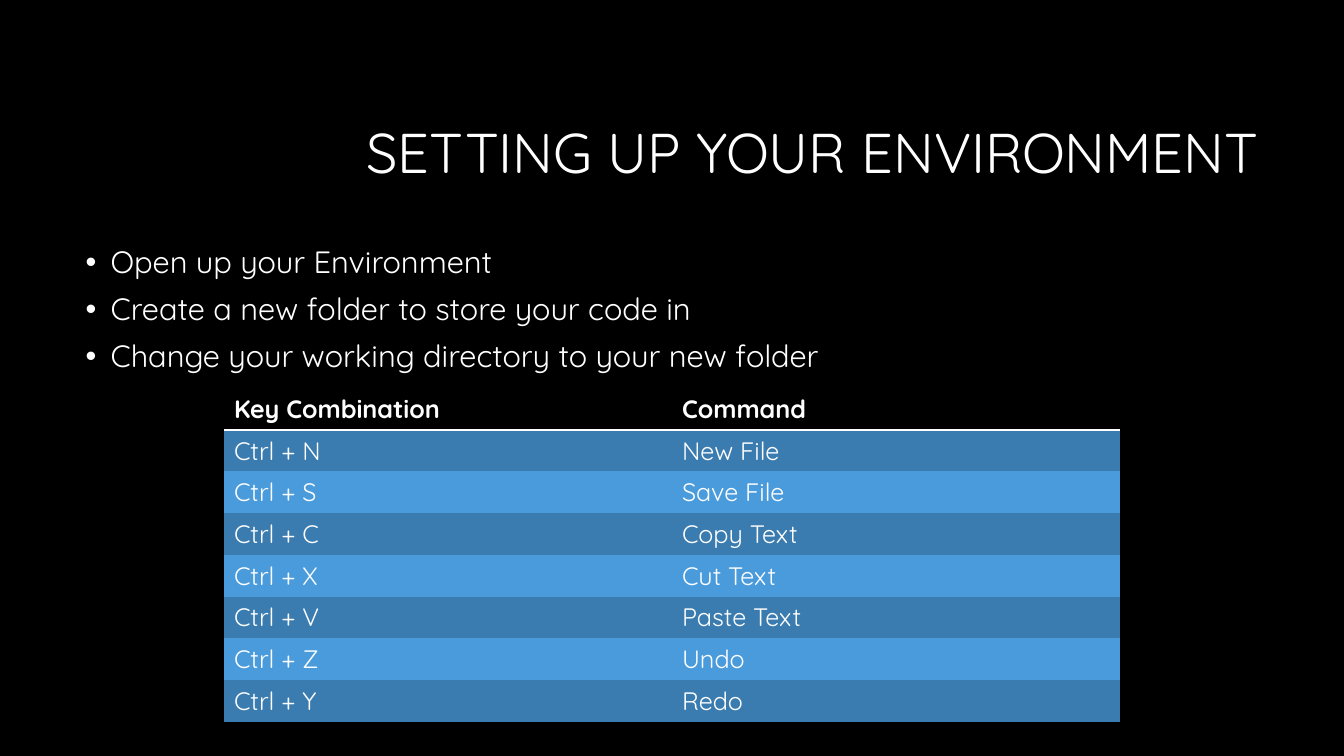
from lxml.etree import SubElement
from pptx import Presentation
from pptx.dml.color import RGBColor
from pptx.enum.text import MSO_ANCHOR, PP_ALIGN
from pptx.oxml import parse_xml
from pptx.oxml.ns import nsdecls, qn
from pptx.util import Pt

COLORS = {"background": "000000", "text": "FFFFFF", "dark_band": "3B7CB0", "light_band": "4A9BDC"}
FONT = "Quicksand"
PLAIN_TABLE = "{2D5ABB26-0587-4C30-8999-92F81FD0307C}"
STEPS = [
    "Open up your Environment",
    "Create a new folder to store your code in",
    "Change your working directory to your new folder",
]
SHORTCUTS = [
    ("Key Combination", "Command"),
    ("Ctrl + N", "New File"),
    ("Ctrl + S", "Save File"),
    ("Ctrl + C", "Copy Text"),
    ("Ctrl + X", "Cut Text"),
    ("Ctrl + V", "Paste Text"),
    ("Ctrl + Z", "Undo"),
    ("Ctrl + Y", "Redo"),
]


def rgb(name):
    return RGBColor.from_string(COLORS[name])


def write(p, text, size, bold=False, align=PP_ALIGN.LEFT, line=None, before=None, bullet=None):
    p.alignment = align
    p.line_spacing = line
    p.space_before = before
    if bullet:
        pPr = p._p.get_or_add_pPr()
        pPr.set("marL", str(Pt(18)))
        pPr.set("indent", str(-Pt(18)))
        SubElement(pPr, qn("a:buFont"), typeface="Arial")
        SubElement(pPr, qn("a:buChar"), char=bullet)
    r = p.add_run()
    r.text = text
    r.font.name = FONT
    r.font.size = Pt(size)
    r.font.bold = bold
    r.font.color.rgb = rgb("text")


class Deck:
    def __init__(self, width, height):
        self.prs = Presentation()
        self.prs.slide_width, self.prs.slide_height = Pt(width), Pt(height)
        self.s = self.prs.slides.add_slide(self.prs.slide_layouts[6])
        fill = self.s.background.fill
        fill.solid()
        fill.fore_color.rgb = rgb("background")

    def text(self, lines, x, y, w, h, anchor=MSO_ANCHOR.TOP, **style):
        tf = self.s.shapes.add_textbox(Pt(x), Pt(y), Pt(w), Pt(h)).text_frame
        tf.word_wrap = True
        tf.vertical_anchor = anchor
        for i, line in enumerate(lines):
            p = tf.add_paragraph() if i else tf.paragraphs[0]
            write(p, line, **style)

    def table(self, rows, x, y, w, row_height, size):
        frame = self.s.shapes.add_table(
            len(rows), len(rows[0]), Pt(x), Pt(y), Pt(w), Pt(row_height * len(rows)))
        table = frame.table
        table._tbl.tblPr.find(qn("a:tableStyleId")).text = PLAIN_TABLE
        for i, row in enumerate(rows):
            table.rows[i].height = Pt(row_height)
            band = "dark_band" if i % 2 else "light_band"
            for j, value in enumerate(row):
                cell = table.cell(i, j)
                cell.fill.solid()
                cell.fill.fore_color.rgb = rgb(band if i else "background")
                write(cell.text_frame.paragraphs[0], value, size, bold=i == 0)
                if i == 0:
                    self.underline(cell, 2)

    def underline(self, cell, width):
        border = parse_xml(
            f'<a:lnB {nsdecls("a")} w="{Pt(width)}"><a:solidFill>'
            f'<a:srgbClr val="{COLORS["text"]}"/></a:solidFill></a:lnB>')
        cell._tc.get_or_add_tcPr().insert(0, border)


def main():
    deck = Deck(960, 540)
    deck.text(["SETTING UP YOUR ENVIRONMENT"], 228, 60.5, 678, 101.5,
              anchor=MSO_ANCHOR.MIDDLE, size=40, align=PP_ALIGN.RIGHT, line=0.9)
    deck.text(STEPS, 54, 172.8, 852, 316.8, size=22, line=0.9, before=Pt(10), bullet="•")
    deck.table(SHORTCUTS, 160, 277.2, 640, 29.8, size=18)
    deck.prs.save("out.pptx")


if __name__ == "__main__":
    main()
